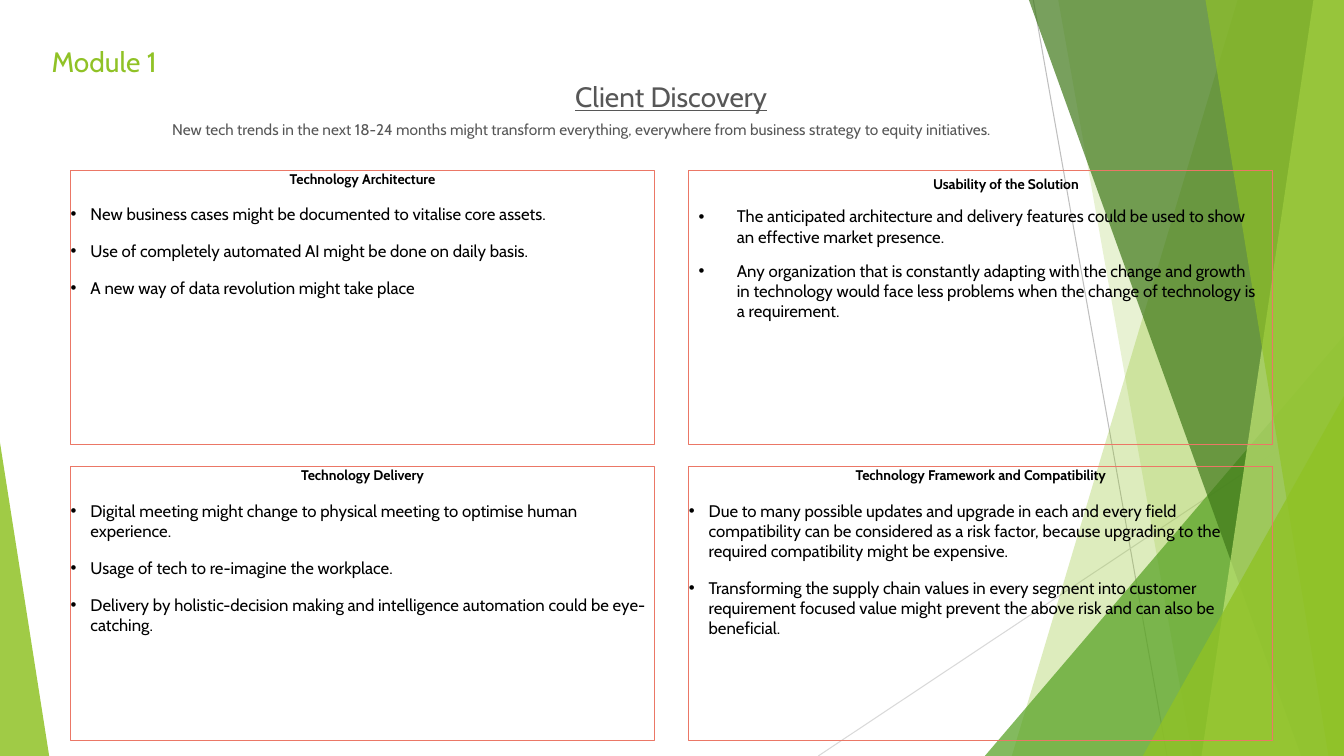
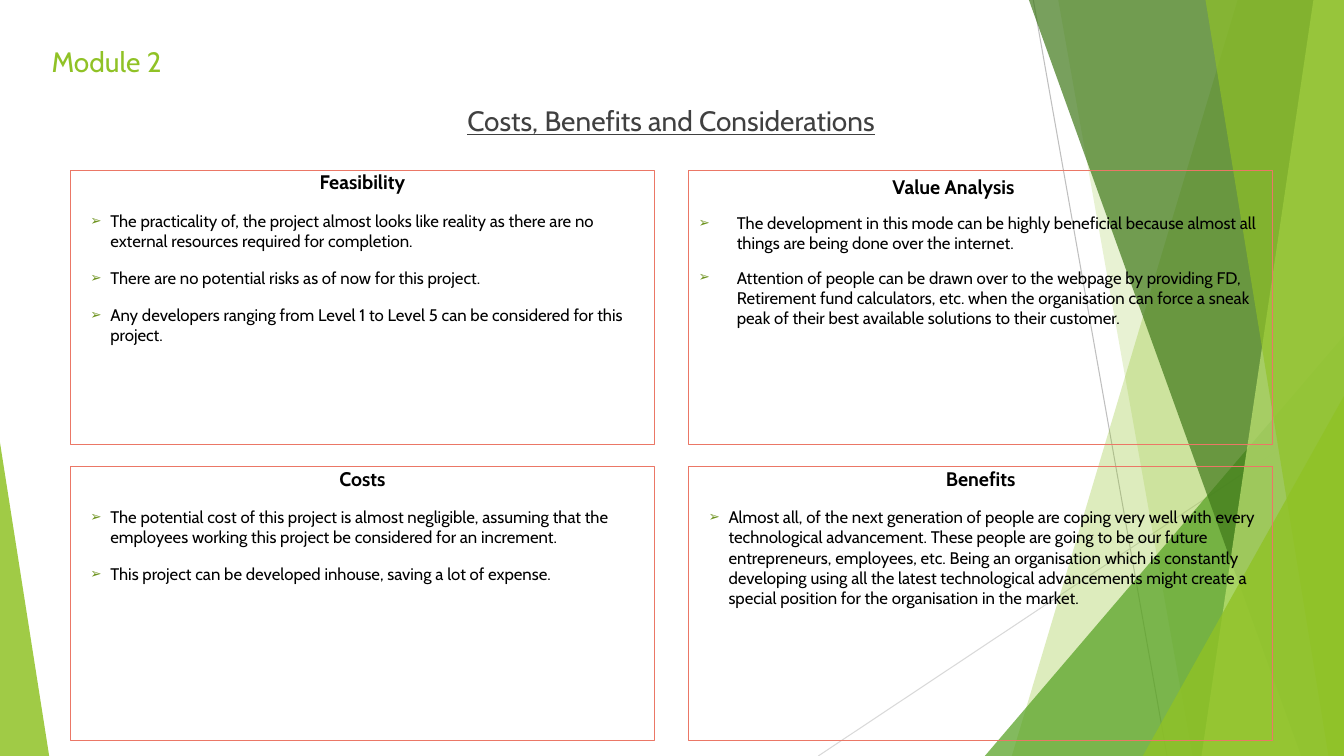
from lxml import etree
from pptx import Presentation
from pptx.dml.color import RGBColor
from pptx.enum.shapes import MSO_CONNECTOR, MSO_SHAPE
from pptx.enum.text import MSO_ANCHOR, PP_ALIGN
from pptx.oxml.ns import qn
from pptx.util import Cm, Pt

STRAIGHT = MSO_CONNECTOR.STRAIGHT
RECTANGLE, TRIANGLE = MSO_SHAPE.RECTANGLE, MSO_SHAPE.ISOSCELES_TRIANGLE
TOP = MSO_ANCHOR.TOP
LEFT, CENTER = PP_ALIGN.LEFT, PP_ALIGN.CENTER

FONT = "Cabin"
COLORS = {
    "lime": "90C226", "pale": "C0E474", "green": "54A021", "forest": "3F7819",
    "olive": "6C921D", "coral": "EB7766", "black": "000000",
    "charcoal": "404040", "gray": "575757", "silver": "BFBFBF", "mist": "D9D9D9",
}

# All measures in centimetres
WIDTH, HEIGHT = 33.87, 19.05
GRID_LEFT, GRID_TOP = 1.78, 4.29
PANEL_WIDTH, PANEL_HEIGHT = 14.71, 6.91
GAP_X, GAP_Y = 0.87, 0.56

# Decoration, back to front: slanted bands (top x, bottom x) and
# corner triangles (left, width, height, apex position)
RAYS = [((26.04, 0), (29.41, HEIGHT), "silver"),
        ((WIDTH, 10.24), (20.62, HEIGHT), "mist")]
FACETS = [
    ("band", (31.19, 25.5), "lime", 30),
    ("band", (26.67, 30.05), "lime", 20),
    ("corner", (24.82, 9.05, 10.59, 1), "green", 72),
    ("band", (25.93, 32.79), "forest", 70),
    ("band", (33.1, 30.28), "pale", 70),
    ("band", (30.38, 33.48), "lime", 65),
    ("corner", (28.8, 5.07, 9.07, 1), "lime", 80),
    ("corner", (0, 1.24, 7.9, 0), "lime", 85),
]

# Panel text: (side inset, top inset, space before, space after)
TIGHT = (0, 0, 6, 6)
ROOMY = (0.25, 0.13, 10, 0)

# Bullets: (character, colour, size in percent)
DOT = ("•", "black", 100)
ARROW = ("➢", "olive", 80)


def rgb(name):
    return RGBColor.from_string(COLORS[name])


def set_font(paragraph, size, color, bold=False, underline=False):
    font = paragraph.font
    font.name, font.size = FONT, Pt(size)
    font.bold, font.underline = bold, underline
    font.color.rgb = rgb(color)


def set_indent(paragraph, margin, hanging=0):
    props = paragraph._p.get_or_add_pPr()
    props.set("marL", str(Cm(margin)))
    props.set("indent", str(-Cm(hanging)))
    return props


def set_bullet(paragraph, bullet, margin, hanging):
    char, color, percent = bullet
    props = set_indent(paragraph, margin, hanging)
    bullet_color = etree.SubElement(props, qn("a:buClr"))
    etree.SubElement(bullet_color, qn("a:srgbClr"), val=COLORS[color])
    etree.SubElement(props, qn("a:buSzPct"), val=str(percent * 1000))
    etree.SubElement(props, qn("a:buFont"), typeface="Arial")
    etree.SubElement(props, qn("a:buChar"), char=char)


def set_frame(shape, side=0, top=0):
    frame = shape.text_frame
    frame.word_wrap = True
    frame.vertical_anchor = TOP
    frame.margin_left = frame.margin_right = Cm(side)
    frame.margin_top = frame.margin_bottom = Cm(top)
    return frame


def tint(shape, color, opacity):
    shape.shadow.inherit = False
    shape.line.fill.background()
    shape.fill.solid()
    shape.fill.fore_color.rgb = rgb(color)
    value = shape._element.spPr.find(qn("a:solidFill"))[0]
    etree.SubElement(value, qn("a:alpha"), val=str(opacity * 1000))


def draw_band(slide, top_x, bottom_x):
    outline = slide.shapes.build_freeform(Cm(top_x), 0)
    outline.add_line_segments([(Cm(WIDTH), 0), (Cm(WIDTH), Cm(HEIGHT)),
                               (Cm(bottom_x), Cm(HEIGHT))])
    return outline.convert_to_shape()


def draw_corner(slide, left, width, height, apex):
    corner = slide.shapes.add_shape(TRIANGLE, Cm(left), Cm(HEIGHT - height),
                                    Cm(width), Cm(height))
    corner.adjustments[0] = apex
    return corner


def draw_backdrop(slide):
    for start, end, color in RAYS:
        ray = slide.shapes.add_connector(STRAIGHT, *map(Cm, start + end))
        ray.line.color.rgb = rgb(color)
        ray.line.width = Pt(0.75)
        etree.SubElement(ray._element.spPr, qn("a:effectLst"))
    painters = {"band": draw_band, "corner": draw_corner}
    for kind, measures, color, opacity in FACETS:
        tint(painters[kind](slide, *measures), color, opacity)


def add_line(slide, text, box, size, color, align=LEFT, underline=False, indent=0):
    """One line of text without insets."""
    frame = set_frame(slide.shapes.add_textbox(*map(Cm, box)))
    paragraph = frame.paragraphs[0]
    paragraph.text = text
    paragraph.alignment = align
    set_indent(paragraph, indent)
    set_font(paragraph, size, color, underline=underline)


def add_panel(slide, left, top, panel, bullet, heading_size):
    outline = slide.shapes.add_shape(RECTANGLE, Cm(left), Cm(top),
                                     Cm(PANEL_WIDTH), Cm(PANEL_HEIGHT))
    outline.shadow.inherit = False
    outline.fill.background()
    outline.line.color.rgb = rgb("coral")
    outline.line.width = Pt(0.75)

    side, inset_top, before, after = panel["spacing"]
    frame = set_frame(outline, side, inset_top)
    for index, text in enumerate([panel["heading"]] + panel["points"]):
        paragraph = frame.add_paragraph() if index else frame.paragraphs[0]
        paragraph.text = text
        paragraph.space_before, paragraph.space_after = Pt(before), Pt(after)
        if index:
            paragraph.alignment = LEFT
            set_bullet(paragraph, bullet, *panel["indent"])
            set_font(paragraph, 12, "black")
        else:
            paragraph.alignment = panel.get("align", CENTER)
            set_indent(paragraph, panel.get("heading_indent", 0))
            set_font(paragraph, heading_size, "black", bold=True)


def add_module(deck, module):
    slide = deck.slides.add_slide(deck.slide_layouts[6])
    draw_backdrop(slide)

    # Module title, topic and optional lead
    add_line(slide, module["title"], (1.3, 1.12, 25.45, 0.94), 20, "lime")
    add_line(slide, module["topic"], (GRID_LEFT, module["topic_top"], 30.27, 1.04),
             20, module["topic_color"], CENTER, underline=True)
    if "lead" in module:
        add_line(slide, module["lead"], (1.8, 3.02, 31.29, 1.12), 11, "gray",
                 indent=2.54)

    # Two by two grid of panels, row by row
    for index, panel in enumerate(module["panels"]):
        row, column = divmod(index, 2)
        add_panel(slide, GRID_LEFT + column * (PANEL_WIDTH + GAP_X),
                  GRID_TOP + row * (PANEL_HEIGHT + GAP_Y),
                  panel, module["bullet"], module["heading_size"])


NEAR = {"spacing": TIGHT, "indent": (0.5, 0.5)}
FAR = {"spacing": TIGHT, "indent": (1, 0.5)}
WIDE = {"spacing": ROOMY, "indent": (0.96, 0.96)}

MODULES = [
    {
        "title": "Module 1", "topic": "Client Discovery",
        "topic_top": 2.01, "topic_color": "gray",
        "lead": "New tech trends in the next 18-24 months might transform everything, "
                "everywhere from business strategy to equity initiatives.",
        "bullet": DOT, "heading_size": 10,
        "panels": [
            {**NEAR, "heading": "Technology Architecture", "points": [
                "New business cases might be documented to vitalise core assets.",
                "Use of completely automated AI might be done on daily basis.",
                "A new way of data revolution might take place"]},
            {**WIDE, "heading": "Usability of the Solution", "heading_indent": 1.27,
             "points": [
                "The anticipated architecture and delivery features could be used to "
                "show an effective market presence.",
                "Any organization that is constantly adapting with the change and "
                "growth in technology would face less problems when the change of "
                "technology is a requirement."]},
            {**NEAR, "heading": "Technology Delivery", "points": [
                "Digital meeting might change to physical meeting to optimise human "
                "experience.",
                "Usage of tech to re-imagine the workplace.",
                "Delivery by holistic-decision making and intelligence automation "
                "could be eye-catching."]},
            {**NEAR, "heading": "Technology Framework and Compatibility", "points": [
                "Due to many possible updates and upgrade in each and every field "
                "compatibility can be considered as a risk factor, because upgrading "
                "to the required compatibility might be expensive.",
                "Transforming the supply chain values in every segment into customer "
                "requirement focused value might prevent the above risk and can also "
                "be beneficial."]},
        ],
    },
    {
        "title": "Module 2", "topic": "Costs, Benefits and Considerations",
        "topic_top": 2.62, "topic_color": "charcoal",
        "bullet": ARROW, "heading_size": 14,
        "panels": [
            {**FAR, "heading": "Feasibility", "points": [
                "The practicality of, the project almost looks like reality as there "
                "are no external resources required for completion.",
                "There are no potential risks as of now for this project.",
                "Any developers ranging from Level 1 to Level 5 can be considered for "
                "this project."]},
            {**WIDE, "heading": "Value Analysis", "align": LEFT,
             "heading_indent": 4.88, "points": [
                "The development in this mode can be highly beneficial because almost "
                "all things are being done over the internet.",
                "Attention of people can be drawn over to the webpage by providing FD, "
                "Retirement fund calculators, etc. when the organisation can force a "
                "sneak peak of their best available solutions to their customer."]},
            {**FAR, "heading": "Costs", "points": [
                "The potential cost of this project is almost negligible, assuming "
                "that the employees working this project be considered for an "
                "increment.",
                "This project can be developed inhouse, saving a lot of expense."]},
            {**FAR, "heading": "Benefits", "points": [
                "Almost all, of the next generation of people are coping very well "
                "with every technological advancement. These people are going to be "
                "our future entrepreneurs, employees, etc. Being an organisation which "
                "is constantly developing using all the latest technological "
                "advancements might create a special position for the organisation in "
                "the market."]},
        ],
    },
]


def main():
    deck = Presentation()
    deck.slide_width, deck.slide_height = Cm(WIDTH), Cm(HEIGHT)
    for module in MODULES:
        add_module(deck, module)
    deck.save("out.pptx")


if __name__ == "__main__":
    main()
